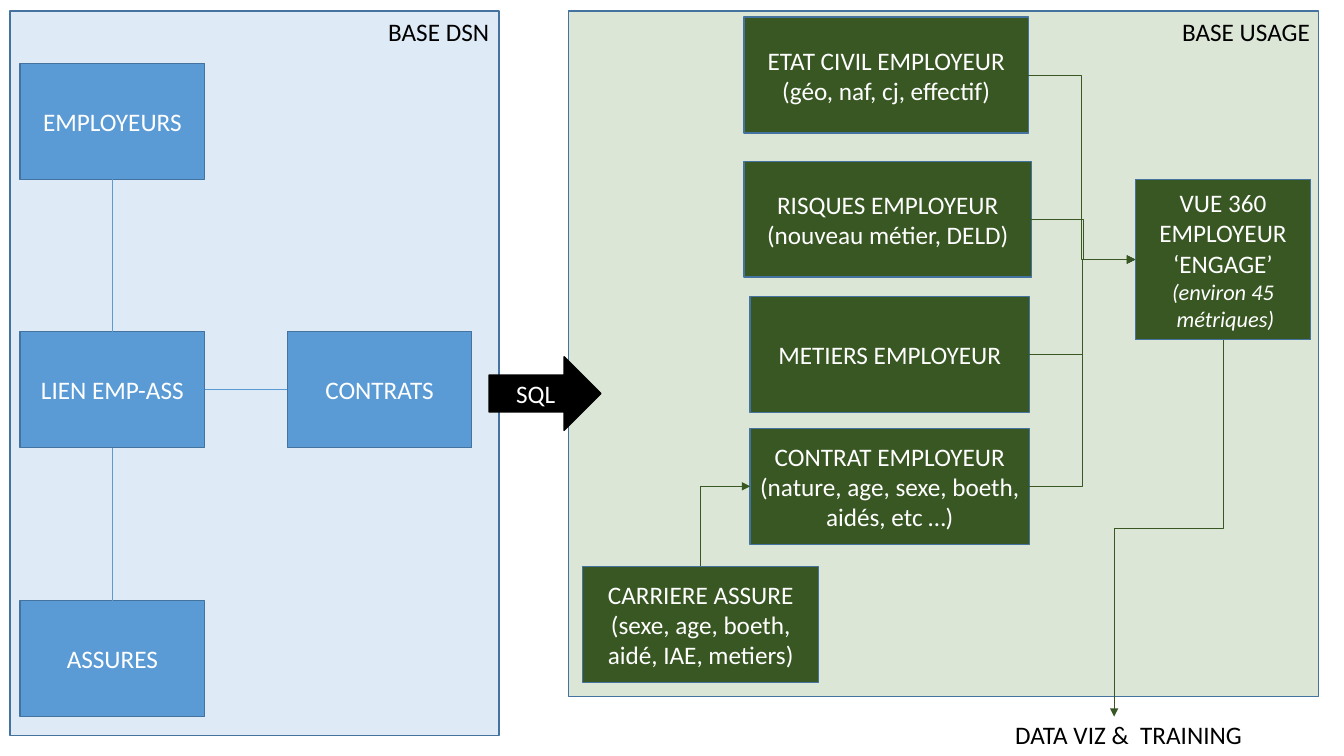
from dataclasses import dataclass
from lxml.etree import SubElement
from pptx import Presentation
from pptx.dml.color import RGBColor
from pptx.enum.shapes import MSO_CONNECTOR, MSO_SHAPE
from pptx.enum.text import MSO_ANCHOR, MSO_AUTO_SIZE, PP_ALIGN
from pptx.oxml.ns import qn
from pptx.util import Inches, Pt

TOP, LEFT, BOTTOM, RIGHT = range(4)


@dataclass(frozen=True)
class Theme:
    """Colours, font and type sizes of the slide."""
    blue: str = "5B9BD5"
    edge: str = "43739E"
    green: str = "385723"
    pale: str = "548235"
    black: str = "000000"
    white: str = "FFFFFF"
    face: str = "Calibri"
    body: int = 18
    small: int = 16
    thin: float = 0.5
    rule: float = 1


class Diagram:
    """Draws boxes, labels and links on one slide."""

    def __init__(self, slide, theme):
        self.shapes = slide.shapes
        self.theme = theme

    def letter(self, shape, text, ink, align):
        frame = shape.text_frame
        frame.text = text
        frame.word_wrap = True
        for para in frame.paragraphs:
            para.alignment = align
            para.font.name = self.theme.face
            para.font.size = Pt(self.theme.body)
            para.font.color.rgb = RGBColor.from_string(ink)

    def box(self, area, fill, text="", edge=None, kind=MSO_SHAPE.RECTANGLE):
        shape = self.shapes.add_shape(kind, *map(Inches, area))
        shape.shadow.inherit = False
        shape.fill.solid()
        shape.fill.fore_color.rgb = RGBColor.from_string(fill)
        shape.line.color.rgb = RGBColor.from_string(edge or self.theme.edge)
        shape.line.width = Pt(self.theme.rule)
        if text:
            shape.text_frame.vertical_anchor = MSO_ANCHOR.MIDDLE
            self.letter(shape, text, self.theme.white, PP_ALIGN.CENTER)
        return shape

    def panel(self, area, fill):
        shape = self.box(area, fill)
        tint = shape._element.spPr.find(".//" + qn("a:srgbClr"))
        SubElement(tint, qn("a:alpha")).set("val", "20000")

    def label(self, area, text, align):
        shape = self.shapes.add_textbox(*map(Inches, area))
        self.letter(shape, text, self.theme.black, align)
        shape.text_frame.auto_size = MSO_AUTO_SIZE.SHAPE_TO_FIT_TEXT

    def link(self, start, side, ink, kind=MSO_CONNECTOR.STRAIGHT):
        line = self.shapes.add_connector(kind, 0, 0, 0, 0)
        line.begin_connect(start, side)
        line.line.color.rgb = RGBColor.from_string(ink)
        line.line.width = Pt(self.theme.thin)
        SubElement(line._element.spPr, qn("a:effectLst"))
        return line

    def join(self, start, side, end, port):
        self.link(start, side, self.theme.blue).end_connect(end, port)

    def elbow(self, start, side):
        line = self.link(start, side, self.theme.green, MSO_CONNECTOR.ELBOW)
        stroke = line._element.spPr.find(qn("a:ln"))
        SubElement(stroke, qn("a:tailEnd")).set("type", "triangle")
        return line

    def turn(self, line):
        mid_x = (line.begin_x + line.end_x) // 2
        mid_y = (line.begin_y + line.end_y) // 2
        off_x, off_y = line.begin_x - mid_x, line.begin_y - mid_y
        line.begin_x, line.begin_y = mid_x + off_y, mid_y - off_x
        line.end_x, line.end_y = mid_x - off_y, mid_y + off_x
        line._element.spPr.find(qn("a:xfrm")).set("rot", "5400000")


def main():
    """Build and save the slide."""
    deck = Presentation()
    deck.slide_width, deck.slide_height = Inches(13.33), Inches(7.5)
    theme = Theme()
    draw = Diagram(deck.slides.add_slide(deck.slide_layouts[6]), theme)
    high = 1.15

    draw.panel((0.1, 0.11, 4.85, 7.19), theme.blue)
    staff, bond, people, deals = [
        draw.box((x, y, 1.83, high), theme.blue, text)
        for x, y, text in (
            (0.2, 0.63, "EMPLOYEURS"),
            (0.2, 3.29, "LIEN EMP-ASS"),
            (0.2, 5.96, "ASSURES"),
            (2.85, 3.29, "CONTRATS"),
        )
    ]
    draw.join(staff, BOTTOM, bond, TOP)
    draw.join(people, TOP, bond, BOTTOM)
    draw.join(bond, RIGHT, deals, LEFT)
    draw.label((3.3, 0.11, 1.65, 0.4), "BASE DSN", PP_ALIGN.RIGHT)

    draw.panel((5.64, 0.11, 7.44, 6.8), theme.pale)
    career, *facts = [
        draw.box((x, y, wide, high), theme.green, text)
        for x, y, wide, text in (
            (5.78, 5.62, 2.34, "CARRIERE ASSURE\v(sexe, age, boeth, aidé, IAE, metiers)"),
            (7.44, 4.25, 2.77, "CONTRAT EMPLOYEUR\n(nature, age, sexe, boeth, aidés, etc …)"),
            (7.44, 2.94, 2.77, "METIERS EMPLOYEUR"),
            (7.38, 1.6, 2.85, "RISQUES EMPLOYEUR\v(nouveau métier, DELD)"),
            (7.38, 0.17, 2.82, "ETAT CIVIL EMPLOYEUR\v(géo, naf, cj, effectif)"),
        )
    ]
    view = draw.box((11.26, 1.78, 1.74, 1.59), theme.green,
                    "VUE 360 EMPLOYEUR\n‘ENGAGE’\n(environ 45\n métriques)")
    for para in view.text_frame.paragraphs[2:]:
        for run in para.runs:
            run.font.size = Pt(theme.small)
            run.font.italic = True

    for fact in facts:
        draw.elbow(fact, RIGHT).end_connect(view, LEFT)

    rise = draw.elbow(career, TOP)
    rise.end_connect(facts[0], LEFT)
    draw.turn(rise)
    rise._element.spPr.find(qn("a:prstGeom")).set("prst", "bentConnector2")

    drop = draw.elbow(view, BOTTOM)
    drop.end_x, drop.end_y = Inches(11.05), Inches(7.11)
    draw.turn(drop)

    draw.box((4.85, 3.54, 1.11, 0.73), theme.black, "SQL",
             theme.black, MSO_SHAPE.RIGHT_ARROW)
    draw.label((9.97, 7.09, 3.22, 0.4), "DATA VIZ &  TRAINING", PP_ALIGN.LEFT)
    draw.label((11.44, 0.11, 1.65, 0.4), "BASE USAGE", PP_ALIGN.RIGHT)
    deck.save("out.pptx")


if __name__ == "__main__":
    main()
